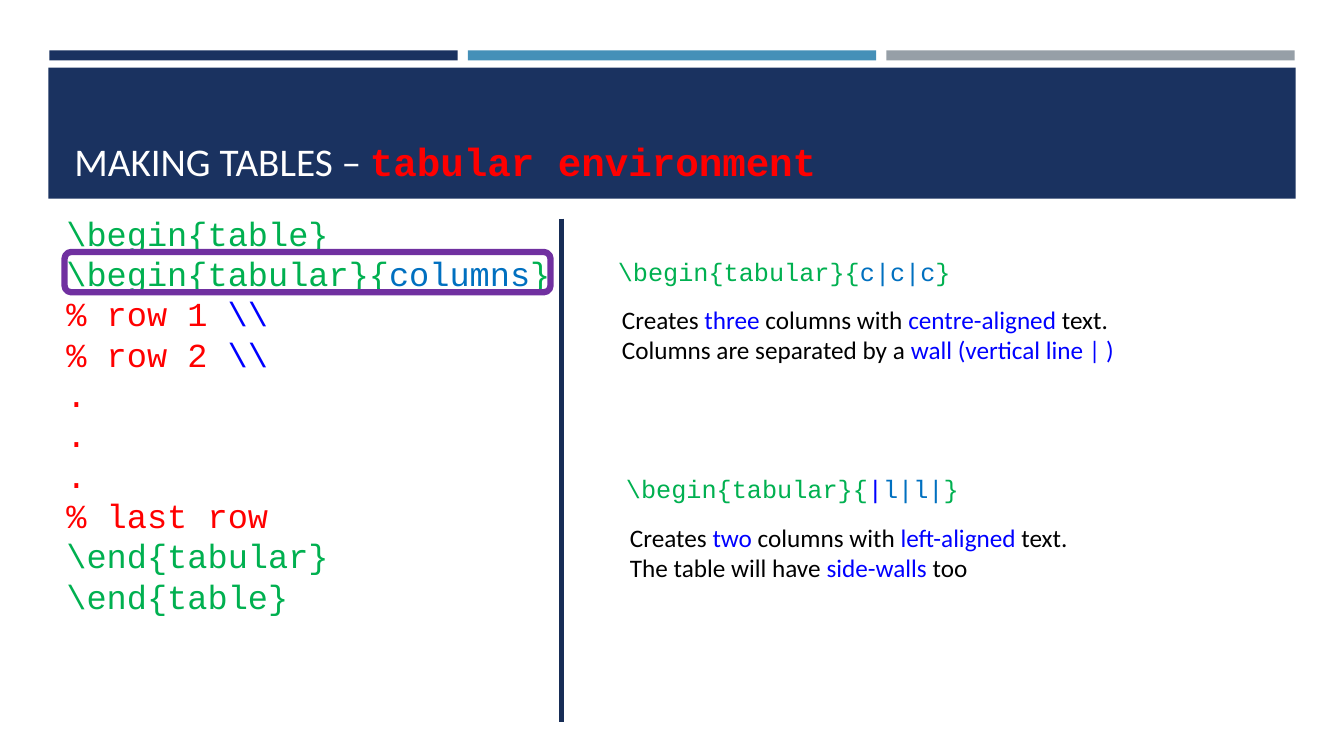
from pptx import Presentation
from pptx import util as u
from pptx.dml.color import RGBColor
from pptx.enum import shapes, text
from pptx.oxml.ns import qn
from lxml import etree

Inches = u.Inches
NAVY, WHITE, BLACK = "1A3260", "FFFFFF", "000000"
GREEN, RED, BLUE, SKY = "00B050", "FF0000", "0000FF", "0070C0"
CODE_FONT, BODY_FONT = "Courier New", "Calibri"

CODE_LINES = [
    [(r"\begin{table}", GREEN)],
    [(r"\begin{tabular}{", GREEN), ("columns", SKY), ("}", GREEN)],
    [("% row 1 ", RED), (r"\\", BLUE)],
    [("% row 2 ", RED), (r"\\", BLUE)],
    *[[(".", RED)]] * 3,
    [("% last row", RED)],
    [(r"\end{tabular}", GREEN)],
    [(r"\end{table}", GREEN)],
]

# Each example: left, top, column specification, explanation
EXAMPLES = [
    (6.03, 2.49, [("c|c|c", SKY)], [
        [("Creates ", BLACK), ("three", BLUE), (" columns with ", BLACK),
         ("centre-aligned", BLUE), (" text.", BLACK)],
        [("Columns are separated by a ", BLACK), ("wall (vertical line | )", BLUE)],
    ]),
    (6.11, 4.65, [("|", BLUE), ("l|l|", SKY)], [
        [("Creates ", BLACK), ("two", BLUE), (" columns with ", BLACK),
         ("left-aligned", BLUE), (" text.", BLACK)],
        [("The table will have ", BLACK), ("side-walls", BLUE), (" too", BLACK)],
    ]),
]


def color(hex_code):
    return RGBColor.from_string(hex_code)


def add_bar(page, left, top, width, height, fill):
    bar = page.shapes.add_shape(shapes.MSO_SHAPE.RECTANGLE, Inches(left),
                                Inches(top), Inches(width), Inches(height))
    bar.shadow.inherit = False
    bar.fill.solid()
    bar.fill.fore_color.rgb = color(fill)
    bar.line.fill.background()


def add_span(para, words, font, size, hue, bold=False):
    span = para.add_run()
    span.text = words
    span.font.name = font
    span.font.size = u.Pt(size)
    span.font.bold = bold
    span.font.color.rgb = color(hue)


def add_text(page, left, top, width, height, lines, font, size, spacing=None):
    """Add a text box; each line is a list of (words, colour) pairs."""
    box = page.shapes.add_textbox(Inches(left), Inches(top),
                                  Inches(width), Inches(height))
    frame = box.text_frame
    frame.word_wrap = True
    for number, line in enumerate(lines):
        para = frame.add_paragraph() if number else frame.paragraphs[0]
        para.line_spacing = spacing
        for words, hue in line:
            add_span(para, words, font, size, hue)
    return box


def add_title(page):
    box = add_text(page, 0.64, 0.77, 12.06, 1.11,
                   [[("MAKING TABLES – ", WHITE)]], BODY_FONT, 28)
    box.text_frame.vertical_anchor = text.MSO_ANCHOR.BOTTOM
    add_span(box.text_frame.paragraphs[0], "tabular environment",
             CODE_FONT, 28, RED, bold=True)


def add_divider(page):
    divider = page.shapes.add_connector(
        shapes.MSO_CONNECTOR.STRAIGHT,
        Inches(5.57), Inches(2.17), Inches(5.57), Inches(7.16))
    divider.line.color.rgb = color("172D56")
    divider.line.width = u.Pt(3)
    etree.SubElement(divider._element.spPr, qn("a:effectLst"))


def add_highlight(page):
    frame = page.shapes.add_shape(shapes.MSO_SHAPE.ROUNDED_RECTANGLE, Inches(0.64),
                                  Inches(2.5), Inches(4.82), Inches(0.4))
    frame.shadow.inherit = False
    frame.fill.background()
    frame.line.color.rgb = color("7030A0")
    frame.line.width = u.Pt(4.5)


def add_example(page, left, top, columns, explanation):
    command = [(r"\begin{tabular}{", GREEN), *columns, ("}", GREEN)]
    add_text(page, left, top, 3.7, 0.4, [command], CODE_FONT, 18)
    add_text(page, left + 0.04, top + 0.48, 5.3, 0.71, explanation, BODY_FONT, 18)


def main():
    deck = Presentation()
    deck.slide_width, deck.slide_height = Inches(13.33), Inches(7.5)
    page = deck.slides.add_slide(deck.slide_layouts[6])
    for column, fill in enumerate([NAVY, "4590B8", "969FA7"]):
        add_bar(page, 0.49 + 4.15 * column, 0.5, 4.05, 0.1, fill)
    add_bar(page, 0.48, 0.67, 12.37, 1.3, NAVY)
    add_title(page)
    add_text(page, 0.56, 2.06, 5.01, 4.14, CODE_LINES, CODE_FONT, 24, u.Pt(28.8))
    add_divider(page)
    for example in EXAMPLES:
        add_example(page, *example)
    add_highlight(page)
    deck.save("out.pptx")


if __name__ == "__main__":
    main()
